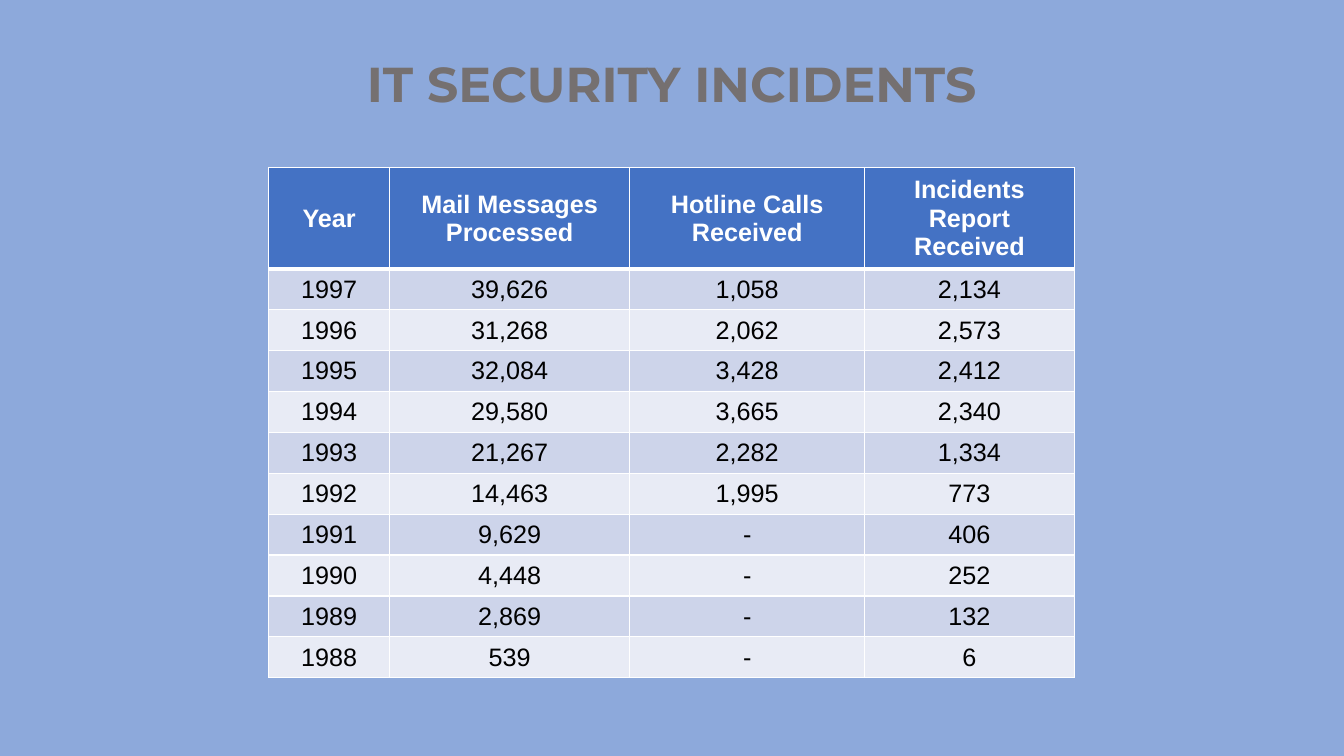
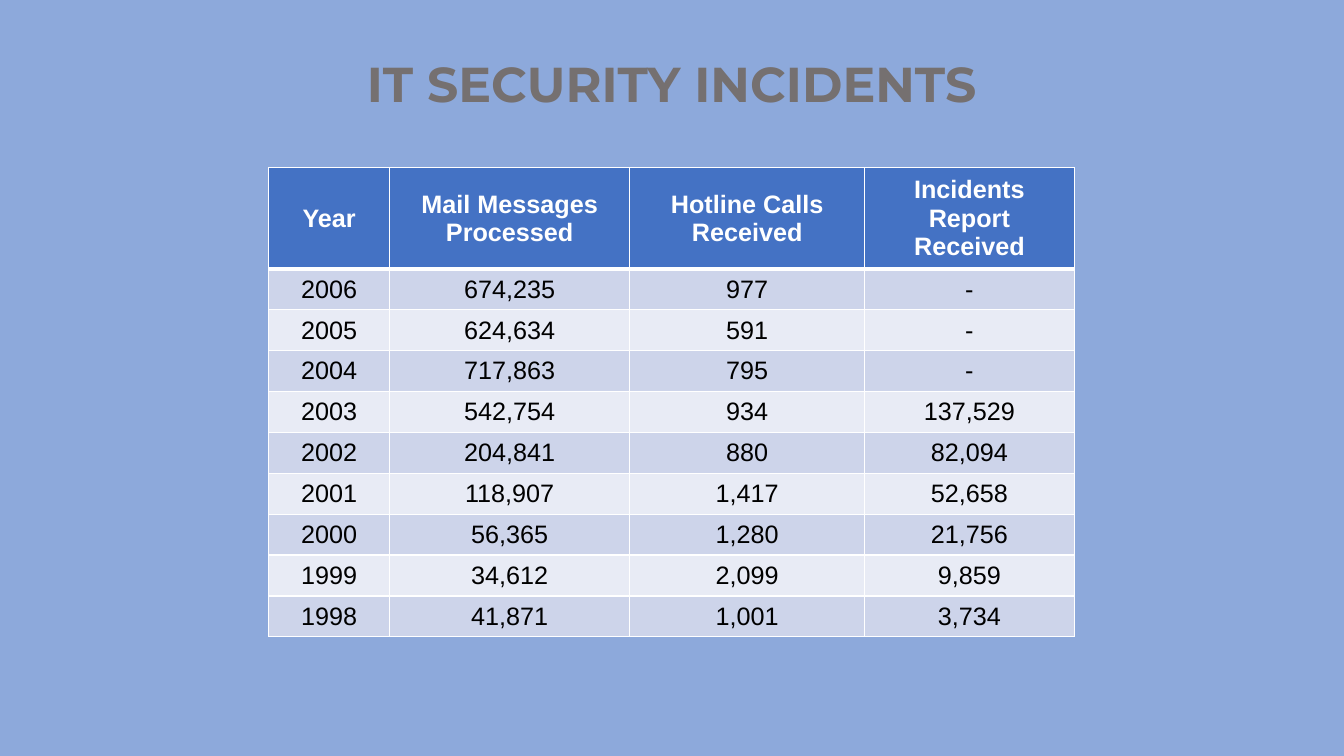
from dataclasses import dataclass
from typing import Any

from lxml import etree
from pptx import Presentation
from pptx import util as u
from pptx.dml.color import RGBColor
from pptx.enum import text
from pptx.oxml import ns


@dataclass(frozen=True)
class Theme:
    background: str = "8DA9DB"
    title: str = "757070"
    header_fill: str = "4472C4"
    header_text: str = "FFFFFF"
    body_text: str = "000000"
    bands: tuple[str, str] = ("CDD4EA", "E8EBF5")
    border: str = "FFFFFF"
    title_font: str = "Montserrat"
    table_font: str = "Arial"
    title_size: int = 35
    table_size: int = 18
    thin: int = 1
    thick: int = 3


@dataclass(frozen=True)
class IncidentPage:
    title: str
    rows: list[tuple[str, str, str, str]]


THEME = Theme()
SLIDE_WIDTH, SLIDE_HEIGHT = 33.87, 19.05
TITLE_BOX = {"left": u.Cm(4.65), "top": u.Cm(1.22),
             "width": u.Cm(24.56), "height": u.Cm(1.75)}
TABLE_LEFT, TABLE_TOP = 6.77, 4.23
COLUMN_WIDTHS = (3.05, 6.05, 5.92, 5.28)
HEADER_HEIGHT, ROW_HEIGHT = 2.53, 1.03
MARGINS = {"margin_left": u.Cm(0.25), "margin_right": u.Cm(0.25),
           "margin_top": u.Cm(0.13), "margin_bottom": u.Cm(0.13)}

TITLE = "IT SECURITY INCIDENTS"
HEADERS = ("Year", "Mail Messages Processed", "Hotline Calls Received",
           "Incidents Report Received")
PAGES = [
    IncidentPage(TITLE, [
        ("1997", "39,626", "1,058", "2,134"),
        ("1996", "31,268", "2,062", "2,573"),
        ("1995", "32,084", "3,428", "2,412"),
        ("1994", "29,580", "3,665", "2,340"),
        ("1993", "21,267", "2,282", "1,334"),
        ("1992", "14,463", "1,995", "773"),
        ("1991", "9,629", "-", "406"),
        ("1990", "4,448", "-", "252"),
        ("1989", "2,869", "-", "132"),
        ("1988", "539", "-", "6"),
    ]),
    IncidentPage(TITLE, [
        ("2006", "674,235", "977", "-"),
        ("2005", "624,634", "591", "-"),
        ("2004", "717,863", "795", "-"),
        ("2003", "542,754", "934", "137,529"),
        ("2002", "204,841", "880", "82,094"),
        ("2001", "118,907", "1,417", "52,658"),
        ("2000", "56,365", "1,280", "21,756"),
        ("1999", "34,612", "2,099", "9,859"),
        ("1998", "41,871", "1,001", "3,734"),
    ]),
]


def apply(target: Any, values: dict[str, Any]) -> None:
    for name, value in values.items():
        setattr(target, name, value)


def write(frame: Any, words: str, font: str, size: int, color: str, bold: bool) -> None:
    """Put one centred line of text in a text frame."""
    para = frame.paragraphs[0]
    para.alignment = text.PP_ALIGN.CENTER
    span = para.add_run()
    span.text = words
    apply(span.font, {"name": font, "size": u.Pt(size), "bold": bold})
    span.font.color.rgb = RGBColor.from_string(color)


def add_borders(cell: Any, widths: dict[str, int]) -> None:
    """Draw cell borders; must run before the cell is filled."""
    properties = cell._tc.get_or_add_tcPr()
    for side, width in widths.items():
        line = etree.SubElement(properties, ns.qn(f"a:ln{side}"), w=str(u.Pt(width)))
        fill = etree.SubElement(line, ns.qn("a:solidFill"))
        etree.SubElement(fill, ns.qn("a:srgbClr"), val=THEME.border)


def add_title(page: Any, words: str) -> None:
    box = page.shapes.title
    apply(box, TITLE_BOX)
    apply(box.text_frame, {**MARGINS, "word_wrap": True,
                           "auto_size": text.MSO_AUTO_SIZE.SHAPE_TO_FIT_TEXT,
                           "vertical_anchor": text.MSO_ANCHOR.TOP})
    write(box.text_frame, words, THEME.title_font, THEME.title_size, THEME.title, True)


def add_incident_table(page: Any, rows: list[tuple[str, str, str, str]]) -> None:
    heights = [HEADER_HEIGHT] + [ROW_HEIGHT] * len(rows)
    table = page.shapes.add_table(
        len(heights), len(HEADERS), u.Cm(TABLE_LEFT), u.Cm(TABLE_TOP),
        u.Cm(sum(COLUMN_WIDTHS)), u.Cm(sum(heights))).table
    table.horz_banding = False
    for column, width in zip(table.columns, COLUMN_WIDTHS):
        column.width = u.Cm(width)
    for row, height in zip(table.rows, heights):
        row.height = u.Cm(height)

    for row_index, values in enumerate([HEADERS, *rows]):
        is_header = row_index == 0
        if is_header:
            fill, color = THEME.header_fill, THEME.header_text
            borders = {"L": THEME.thin, "R": THEME.thin, "T": THEME.thin, "B": THEME.thick}
        else:
            fill, color = THEME.bands[(row_index - 1) % 2], THEME.body_text
            borders = {"L": THEME.thin, "R": THEME.thin, "B": THEME.thin}
        for column_index, words in enumerate(values):
            cell = table.cell(row_index, column_index)
            apply(cell, {**MARGINS, "vertical_anchor": text.MSO_ANCHOR.MIDDLE})
            add_borders(cell, borders)
            cell.fill.solid()
            cell.fill.fore_color.rgb = RGBColor.from_string(fill)
            write(cell.text_frame, words, THEME.table_font, THEME.table_size,
                  color, is_header)


def main() -> None:
    deck = Presentation()
    apply(deck, {"slide_width": u.Cm(SLIDE_WIDTH), "slide_height": u.Cm(SLIDE_HEIGHT)})

    # Shared background
    background = deck.slide_master.background.fill
    background.solid()
    background.fore_color.rgb = RGBColor.from_string(THEME.background)

    # One title and one table per slide
    title_only = deck.slide_layouts[5]
    for content in PAGES:
        page = deck.slides.add_slide(title_only)
        add_title(page, content.title)
        add_incident_table(page, content.rows)

    deck.save("out.pptx")


if __name__ == "__main__":
    main()
